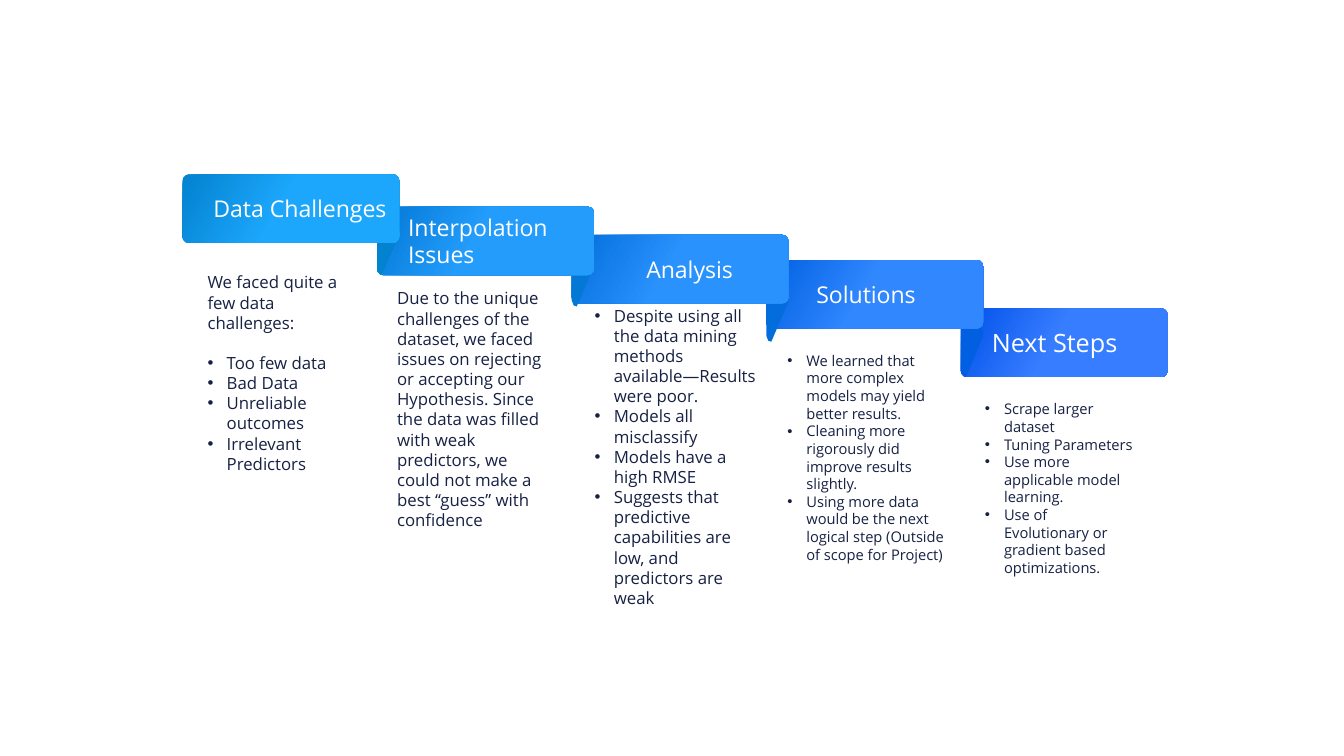
from dataclasses import dataclass

from lxml import etree
from pptx import Presentation
from pptx.dml.color import RGBColor
from pptx.enum.shapes import MSO_SHAPE
from pptx.enum.text import MSO_ANCHOR, MSO_AUTO_SIZE, PP_ALIGN
from pptx.oxml.ns import qn
from pptx.util import Pt

ROUNDED = MSO_SHAPE.ROUNDED_RECTANGLE
MIDDLE = MSO_ANCHOR.MIDDLE
GROW = MSO_AUTO_SIZE.SHAPE_TO_FIT_TEXT
LEFT, CENTER = PP_ALIGN.LEFT, PP_ALIGN.CENTER

PX = 9144  # 100 px to the inch
FONT = "Open Sans"
NAVY, WHITE = "172144", "FFFFFF"
CORNER = 0.091
INDENT = 19
BAND_LEFT, BAND_STEP, BAND_HEIGHT = 181, 193, 68
FOLD_OUTLINE = [(22, 6), (22, 12), (5, 52), (2, 51), (0, 46), (0, 0), (17, 0), (20, 2)]


@dataclass
class Step:
    title: str
    band_top: int
    dark: str
    bright: str
    panel: tuple
    body: tuple
    body_size: float
    bullets: list
    intro: str = ""
    band_width: int = 215
    title_size: float = 16.5
    title_indent: int = INDENT
    title_align: PP_ALIGN = LEFT
    fold_top: int = 0


STEPS = [
    Step("Data Challenges", 173, "0382CF", "1CA7FC",
         (192, 204, 183, 270), (196, 265, 169, 212), 12,
         ["Too few data", "Bad Data", "Unreliable outcomes", "Irrelevant Predictors"],
         intro="We faced quite a few data challenges:"),
    Step("Interpolation Issues", 205, "0378D4", "239CFC",
         (380, 233, 190, 300), (384, 281, 176, 280), 12, [],
         intro="Due to the unique challenges of the dataset, we faced issues on "
               "rejecting or accepting our Hypothesis. Since the data was filled with "
               "weak predictors, we could not make a best “guess” with confidence",
         fold_top=220),
    Step("Analysis", 233, "026DDB", "2A92FD",
         (572, 278, 194, 311), (580, 298, 180, 293), 12,
         ["Despite using all the data mining methods available—Results were poor.",
          "Models all misclassify",
          "Models have a high RMSE",
          "Suggests that predictive capabilities are low, and predictors are weak"],
         title_align=CENTER, fold_top=252),
    Step("Solutions", 258, "0160E1", "3087FE",
         (776, 297, 183, 270), (771, 344, 185, 187), 10.5,
         ["We learned that more complex models may yield better results.",
          "Cleaning more rigorously did improve results slightly.",
          "Using more data would be the next logical step (Outside of scope for Project)"],
         title_indent=38, fold_top=287),
    Step("Next Steps", 306, "0051E9", "377DFF",
         (963, 325, 183, 270), (967, 392, 169, 169), 10.5,
         ["Scrape larger dataset", "Tuning Parameters",
          "Use more applicable model learning.",
          "Use of Evolutionary or gradient based optimizations."],
         band_width=205, title_size=18, fold_top=322),
]


def rgb(code):
    return RGBColor.from_string(code)


def emu(box):
    return [length * PX for length in box]


def style(paragraph, size, color):
    paragraph.font.size = Pt(size)
    paragraph.font.name = FONT
    paragraph.font.color.rgb = rgb(color)


def set_indent(paragraph, left, first=0):
    properties = paragraph._p.get_or_add_pPr()
    properties.set("marL", str(left * PX))
    properties.set("indent", str(first * PX))
    return properties


def add_bullet(paragraph):
    properties = set_indent(paragraph, INDENT, -INDENT)
    etree.SubElement(properties, qn("a:buFont")).set("typeface", "Arial")
    etree.SubElement(properties, qn("a:buChar")).set("char", "•")


def rounded_box(slide, box):
    shape = slide.shapes.add_shape(ROUNDED, *emu(box))
    shape.adjustments[0] = CORNER
    shape.shadow.inherit = False
    shape.line.fill.background()
    return shape


# Column: white panel with the step's text
def add_column(slide, step):
    panel = rounded_box(slide, step.panel)
    panel.fill.solid()
    panel.fill.fore_color.rgb = rgb(WHITE)

    frame = slide.shapes.add_textbox(*emu(step.body)).text_frame
    frame.word_wrap = True
    frame.auto_size = GROW
    lines = ([step.intro] if step.intro else []) + step.bullets
    for index, line in enumerate(lines):
        paragraph = frame.add_paragraph() if index else frame.paragraphs[0]
        paragraph.text = line
        if line != step.intro:
            if index == 1 and step.intro:
                paragraph.space_before = Pt(14.4)
            add_bullet(paragraph)
        style(paragraph, step.body_size, NAVY)


# Band: gradient heading, with the ribbon's fold at its left edge
def add_band(slide, step, left):
    band = rounded_box(slide, (left, step.band_top, step.band_width, BAND_HEIGHT))
    band.fill.gradient()
    band.fill.gradient_angle = 330
    shades = ((step.dark, 0), (step.bright, 0.46))
    for stop, (color, position) in zip(band.fill.gradient_stops, shades):
        stop.color.rgb = rgb(color)
        stop.position = position

    frame = band.text_frame
    frame.word_wrap = True
    frame.vertical_anchor = MIDDLE
    heading = frame.paragraphs[0]
    heading.text = step.title
    heading.alignment = step.title_align
    set_indent(heading, step.title_indent)
    style(heading, step.title_size, WHITE)


def add_fold(slide, left, top, color):
    points = [(left + x, top + y) for x, y in FOLD_OUTLINE]
    builder = slide.shapes.build_freeform(*points[0], scale=PX)
    builder.add_line_segments(points[1:], close=True)
    fold = builder.convert_to_shape()
    fold.shadow.inherit = False
    fold.line.fill.background()
    fold.fill.solid()
    fold.fill.fore_color.rgb = rgb(color)


def add_staircase(slide):
    for step in STEPS:
        add_column(slide, step)
    # Bands run from right to left, so each one overlaps the next step's fold
    for index in reversed(range(len(STEPS))):
        step = STEPS[index]
        left = BAND_LEFT + index * BAND_STEP
        add_band(slide, step, left)
        if index:
            add_fold(slide, left, step.fold_top, STEPS[index - 1].dark)


def main():
    deck = Presentation()
    deck.slide_width, deck.slide_height = emu((1333, 750))
    slide = deck.slides.add_slide(deck.slide_layouts[6])
    slide.background.fill.solid()
    slide.background.fill.fore_color.rgb = rgb(WHITE)
    add_staircase(slide)
    deck.save("out.pptx")


if __name__ == "__main__":
    main()
